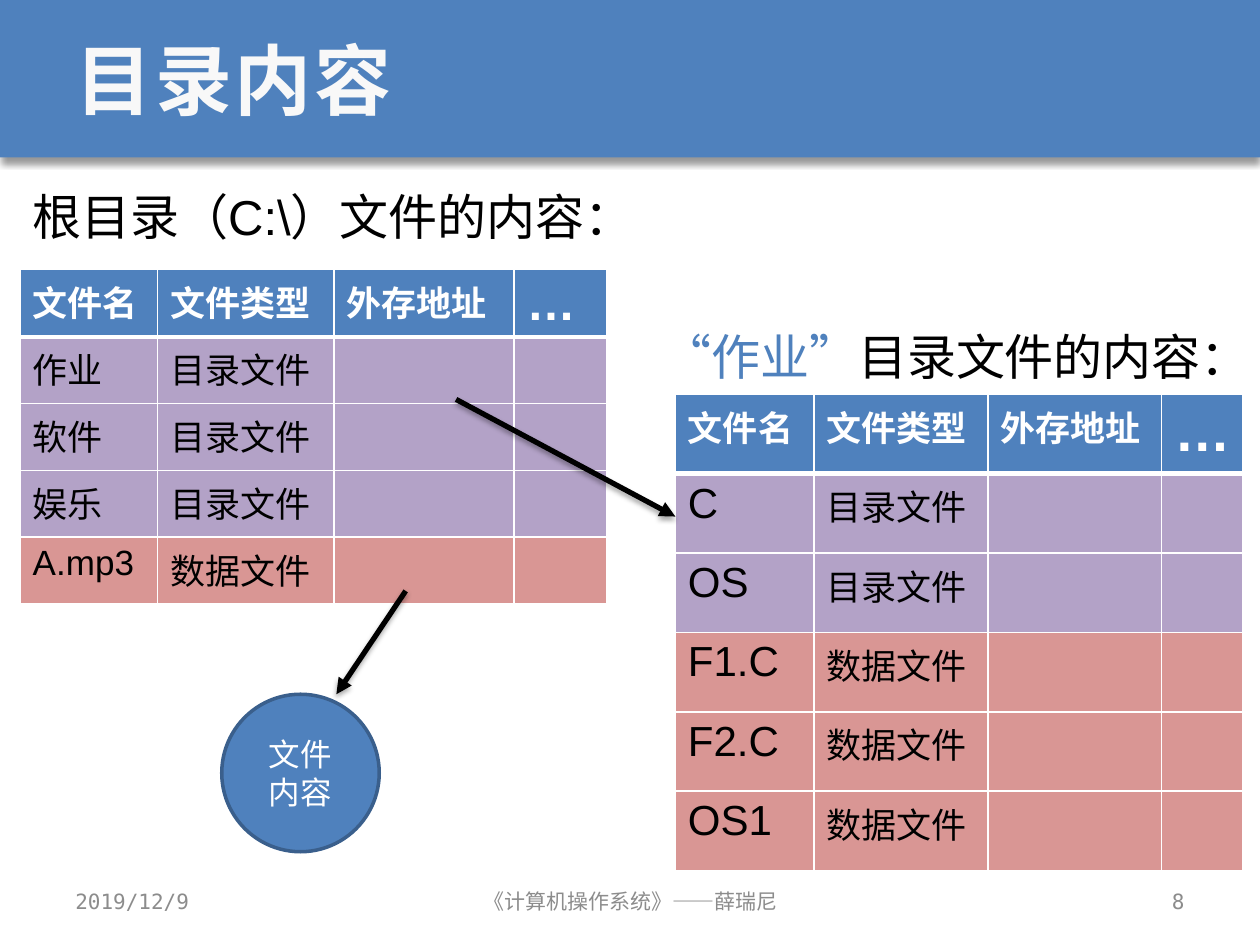
"""Build the slide on directory contents."""
from lxml.etree import SubElement
from pptx import Presentation
from pptx.dml.color import RGBColor
from pptx.enum.shapes import MSO_CONNECTOR as CONNECTOR, MSO_SHAPE as SHAPE
from pptx.enum.text import MSO_ANCHOR as ANCHOR, PP_ALIGN as ALIGN
from pptx.oxml import parse_xml
from pptx.oxml.ns import nsdecls, qn
from pptx.util import Inches, Pt

COLORS = {
    "blue": "4F81BD", "outline": "3A5F8C", "purple": "B3A2C7", "red": "D99694",
    "white": "FFFFFF", "title": "F8F8F8", "gray": "8C8C8C", "black": "000000",
}
SANS, MONO, CJK = "Arial", "DejaVu Sans Mono", "Noto Sans CJK SC"


def add_run(paragraph, text, size, color, name=SANS, bold=False):
    run = paragraph.add_run()
    run.text = text
    run.font.size = Pt(size)
    run.font.bold = bold
    run.font.name = name
    run.font.color.rgb = RGBColor.from_string(COLORS[color])
    SubElement(run.font._element, qn("a:ea"), typeface=CJK)
    return run


def add_shadow(shape, blur, distance, opacity):
    shape._element.spPr.append(parse_xml(
        f'<a:effectLst {nsdecls("a")}><a:outerShdw blurRad="{Pt(blur)}" dist="{Pt(distance)}" '
        f'dir="5400000" rotWithShape="0"><a:srgbClr val="{COLORS["black"]}">'
        f'<a:alpha val="{opacity * 1000}"/></a:srgbClr></a:outerShdw></a:effectLst>'))


presentation = Presentation()
presentation.slide_width, presentation.slide_height = Inches(10), Inches(7.5)
slide = presentation.slides.add_slide(presentation.slide_layouts[5])
shapes = slide.shapes

banner = shapes.add_shape(SHAPE.RECTANGLE, 0, 0, Inches(10), Inches(1.25))
banner.fill.solid()
banner.fill.fore_color.rgb = RGBColor.from_string(COLORS["blue"])
banner.line.fill.background()
add_shadow(banner, 4, 3, 40)
shapes._spTree.insert(2, banner._element)

title = shapes.title
title.left, title.top, title.width, title.height = Inches(0.5), 0, Inches(9), Inches(1.25)
title.text_frame.vertical_anchor = ANCHOR.MIDDLE
title_paragraph = title.text_frame.paragraphs[0]
title_paragraph.alignment = ALIGN.LEFT
title_run = add_run(title_paragraph, "目录内容", 44, "title", MONO, True)
title_run.font._element.set("spc", "150")

FOLDER, DATA = ("目录文件", "purple"), ("数据文件", "red")
tables = [
    (0.16, 2.14, [1.09, 1.4, 1.43, 0.74], 0.53, 20, 28,
     [("作业", FOLDER), ("软件", FOLDER), ("娱乐", FOLDER), ("A.mp3", DATA)]),
    (5.36, 3.13, [1.1, 1.38, 1.38, 0.64], 0.63, 24, 32,
     [("C", FOLDER), ("OS", FOLDER), ("F1.C", DATA), ("F2.C", DATA), ("OS1", DATA)]),
]
for left, top, widths, row_height, name_size, dots_size, files in tables:
    row_count = len(files) + 1
    table = shapes.add_table(row_count, 4, Inches(left), Inches(top), Inches(sum(widths)),
                             Inches(row_height * row_count)).table
    for column, width in zip(table.columns, widths):
        column.width = Inches(width)
    rows = [("blue", ["文件名", "文件类型", "外存地址", "…"])]
    rows += [(fill, [name, kind, "", ""]) for name, (kind, fill) in files]
    for row_index, (fill, texts) in enumerate(rows):
        table.rows[row_index].height = Inches(row_height)
        header = row_index == 0
        sizes = [20, 20, 20, dots_size] if header else [name_size, 20, 20, 20]
        for column_index, (text, size) in enumerate(zip(texts, sizes)):
            cell = table.cell(row_index, column_index)
            properties = cell._tc.get_or_add_tcPr()
            for side in "LRTB":
                thick = (header and side == "B") or (row_index == 1 and side == "T")
                properties.append(parse_xml(
                    f'<a:ln{side} {nsdecls("a")} w="{Pt(3 if thick else 1)}"><a:solidFill>'
                    f'<a:srgbClr val="{COLORS["white"]}"/></a:solidFill></a:ln{side}>'))
            cell.fill.solid()
            cell.fill.fore_color.rgb = RGBColor.from_string(COLORS[fill])
            if text:
                add_run(cell.text_frame.paragraphs[0], text, size,
                        "white" if header else "black", bold=header)

labels = [
    (0.16, 1.43, 5.1, [("根目录（C:\\）文件的内容：", "black", SANS)]),
    (5.16, 2.54, 4.84, [("“作业”", "blue", CJK), ("目录文件的内容：", "black", CJK)]),
]
for left, top, width, runs in labels:
    frame = shapes.add_textbox(Inches(left), Inches(top), Inches(width), Inches(0.57)).text_frame
    frame.word_wrap = True
    frame.margin_right = 0
    for text, color, name in runs:
        add_run(frame.paragraphs[0], text, 28, color, name)

for start_x, start_y, end_x, end_y in [(3.62, 3.17, 5.36, 4.1), (3.22, 4.69, 2.67, 5.51)]:
    arrow = shapes.add_connector(CONNECTOR.STRAIGHT, Inches(start_x), Inches(start_y),
                                 Inches(end_x), Inches(end_y))
    arrow.line.width = Pt(3)
    arrow.line.color.rgb = RGBColor.from_string(COLORS["black"])
    SubElement(arrow.line._get_or_add_ln(), qn("a:tailEnd"), type="triangle")
    add_shadow(arrow, 3.1, 1.8, 35)

circle = shapes.add_shape(SHAPE.OVAL, Inches(1.76), Inches(5.51), Inches(1.25), Inches(1.25))
circle.shadow.inherit = False
circle.fill.solid()
circle.fill.fore_color.rgb = RGBColor.from_string(COLORS["blue"])
circle.line.color.rgb = RGBColor.from_string(COLORS["outline"])
circle.line.width = Pt(2)
circle.text_frame.vertical_anchor = ANCHOR.MIDDLE
circle_paragraph = circle.text_frame.paragraphs[0]
circle_paragraph.alignment = ALIGN.CENTER
add_run(circle_paragraph, "文件内容", 18, "white")

footers = [
    (0.5, 2.33, "2019/12/9", ALIGN.LEFT),
    (3.42, 3.17, "《计算机操作系统》——薛瑞尼", ALIGN.CENTER),
    (7.17, 2.33, "8", ALIGN.RIGHT),
]
for left, width, text, alignment in footers:
    frame = shapes.add_textbox(Inches(left), Inches(6.95), Inches(width), Inches(0.4)).text_frame
    frame.word_wrap = True
    frame.vertical_anchor = ANCHOR.MIDDLE
    frame.paragraphs[0].alignment = alignment
    add_run(frame.paragraphs[0], text, 12, "gray", MONO)

presentation.save("out.pptx")
